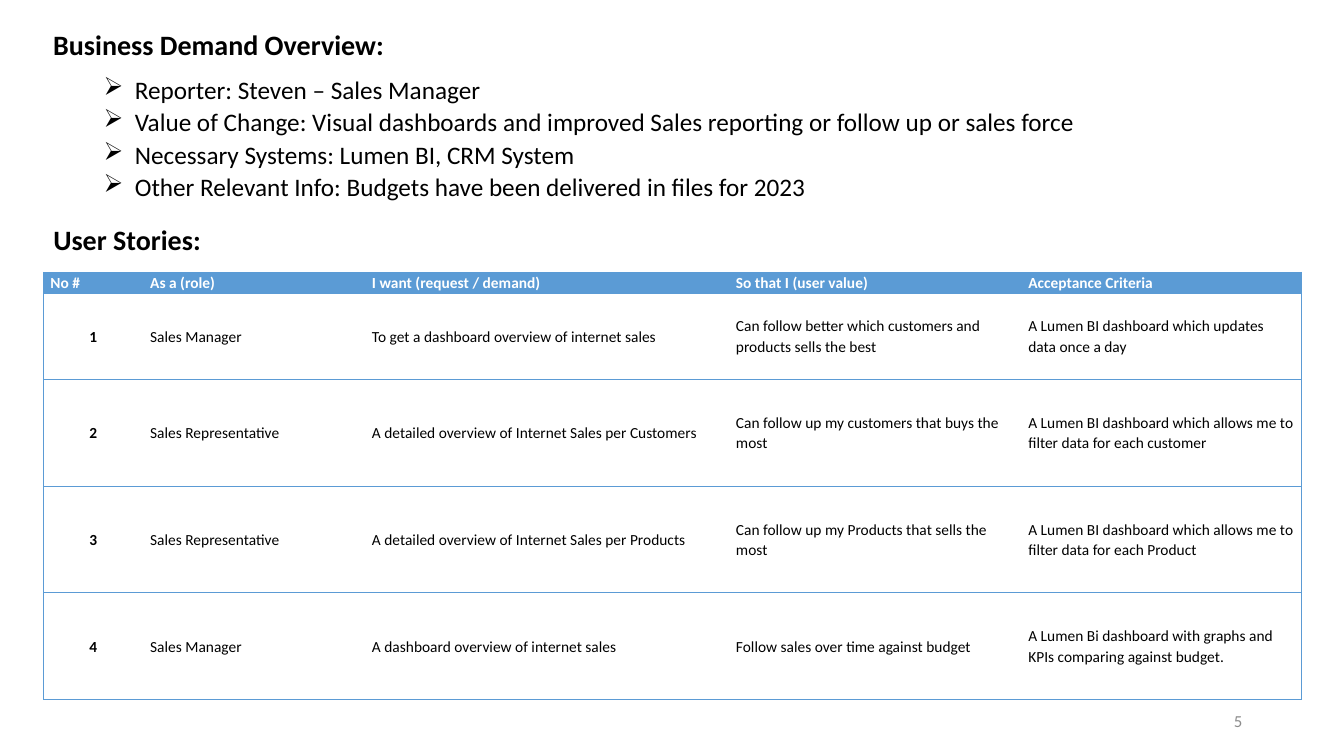
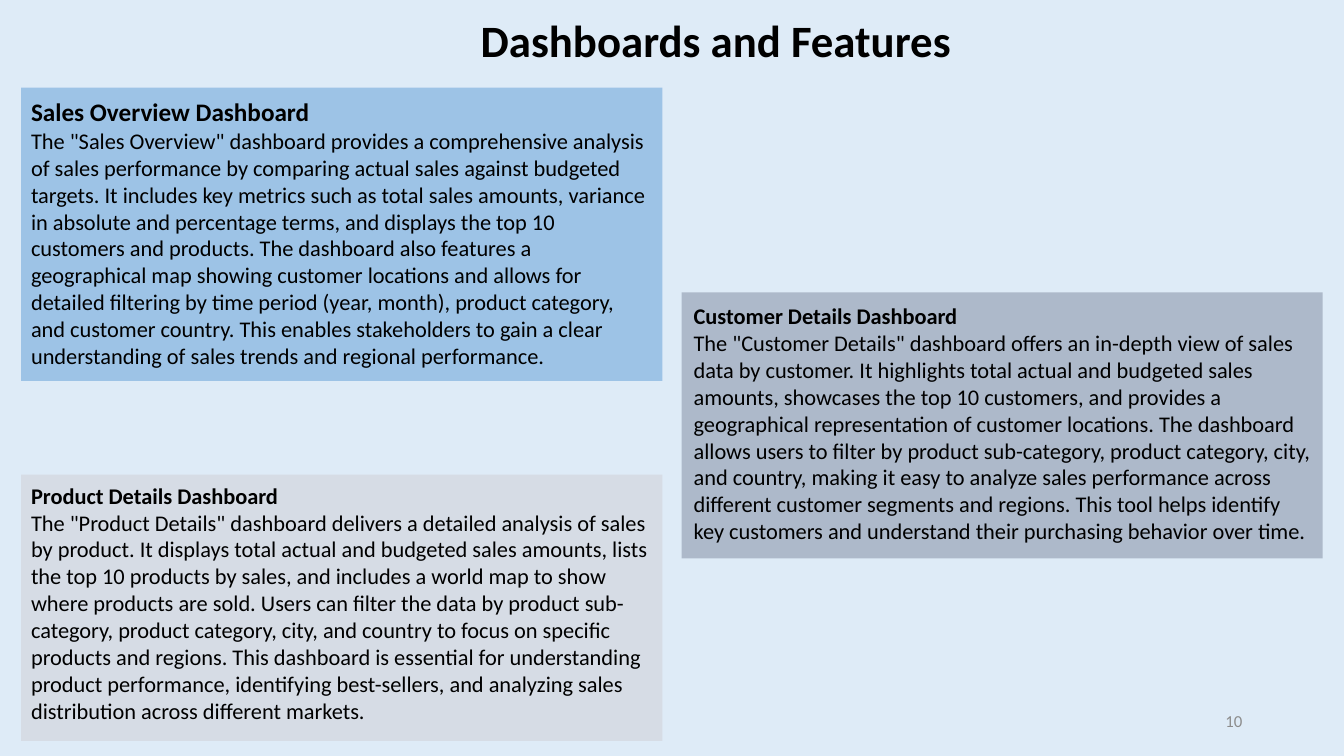
from dataclasses import dataclass

from lxml import etree
from pptx import Presentation
from pptx.dml.color import RGBColor
from pptx.enum.shapes import MSO_SHAPE
from pptx.enum.text import MSO_ANCHOR, PP_ALIGN
from pptx.oxml.ns import qn
from pptx.slide import Slide
from pptx.table import _Cell
from pptx.text.text import TextFrame, _Paragraph
from pptx.util import Inches, Pt

LEFT, CENTER, RIGHT = PP_ALIGN.LEFT, PP_ALIGN.CENTER, PP_ALIGN.RIGHT
TOP, MIDDLE = MSO_ANCHOR.TOP, MSO_ANCHOR.MIDDLE
RECTANGLE = MSO_SHAPE.RECTANGLE

FONT = "Calibri"
BLACK = RGBColor(0x00, 0x00, 0x00)
WHITE = RGBColor(0xFF, 0xFF, 0xFF)
GREY = RGBColor(0x8C, 0x8C, 0x8C)
TABLE_BLUE = RGBColor(0x5B, 0x9B, 0xD5)
PALE_BLUE = RGBColor(0xDE, 0xEB, 0xF7)
SKY_BLUE = RGBColor(0x9D, 0xC3, 0xE6)
SLATE = RGBColor(0xAD, 0xB9, 0xCA)
SILVER = RGBColor(0xD6, 0xDC, 0xE5)

LINE_SPACING = 1.07
CARD_WIDTH = 6.36
BORDER_POINTS = 0.5


@dataclass(frozen=True)
class Line:
    text: str
    size: float
    bold: bool = False
    color: RGBColor = BLACK
    align: PP_ALIGN = LEFT
    spacing: float = 1.0
    after: float = 0
    bullet: str = ""


@dataclass(frozen=True)
class Area:
    left: float
    top: float
    width: float
    height: float

    def lengths(self) -> tuple[int, int, int, int]:
        return (Inches(self.left), Inches(self.top),
                Inches(self.width), Inches(self.height))


@dataclass(frozen=True)
class Card:
    left: float
    top: float
    height: float
    color: RGBColor
    heading_size: float
    left_inset: float
    top_inset: float
    heading: str
    body: str


BULLETS = (
    "Reporter: Steven – Sales Manager",
    "Value of Change: Visual dashboards and improved Sales reporting or follow up or sales force",
    "Necessary Systems: Lumen BI, CRM System",
    "Other Relevant Info: Budgets have been delivered in files for 2023",
)

COLUMN_WIDTHS = (0.99, 2.2, 3.61, 2.9, 2.78)
ROW_HEIGHTS = (0.21, 0.85, 1.06, 1.06, 1.06)
STORIES = (
    ("No #", "As a (role)", "I want (request / demand)",
     "So that I (user value)", "Acceptance Criteria"),
    ("1", "Sales Manager", "To get a dashboard overview of internet sales",
     "Can follow better which customers and products sells the best",
     "A Lumen BI dashboard which updates data once a day"),
    ("2", "Sales Representative", "A detailed overview of Internet Sales per Customers",
     "Can follow up my customers that buys the most",
     "A Lumen BI dashboard which allows me to filter data for each customer"),
    ("3", "Sales Representative", "A detailed overview of Internet Sales per Products",
     "Can follow up my Products that sells the most",
     "A Lumen BI dashboard which allows me to filter data for each Product"),
    ("4", "Sales Manager", "A dashboard overview of internet sales",
     "Follow sales over time against budget",
     "A Lumen Bi dashboard with graphs and KPIs comparing against budget."),
)

CARDS = (
    Card(0.21, 0.87, 2.91, SKY_BLUE, 18, 0.1, 0.09, "Sales Overview Dashboard",
         'The "Sales Overview" dashboard provides a comprehensive analysis of sales '
         "performance by comparing actual sales against budgeted targets. It includes key "
         "metrics such as total sales amounts, variance in absolute and percentage terms, "
         "and displays the top 10 customers and products. The dashboard also features a "
         "geographical map showing customer locations and allows for detailed filtering by "
         "time period (year, month), product category, and customer country. This enables "
         "stakeholders to gain a clear understanding of sales trends and regional "
         "performance."),
    Card(6.76, 2.9, 2.64, SLATE, 16, 0.12, 0.1, "Customer Details Dashboard",
         'The "Customer Details" dashboard offers an in-depth view of sales data by '
         "customer. It highlights total actual and budgeted sales amounts, showcases the "
         "top 10 customers, and provides a geographical representation of customer "
         "locations. The dashboard allows users to filter by product sub-category, product "
         "category, city, and country, making it easy to analyze sales performance across "
         "different customer segments and regions. This tool helps identify key customers "
         "and understand their purchasing behavior over time."),
    Card(0.21, 4.71, 2.64, SILVER, 16, 0.1, 0.07, "Product Details Dashboard",
         'The "Product Details" dashboard delivers a detailed analysis of sales by product. '
         "It displays total actual and budgeted sales amounts, lists the top 10 products by "
         "sales, and includes a world map to show where products are sold. Users can filter "
         "the data by product sub-category, product category, city, and country to focus on "
         "specific products and regions. This dashboard is essential for understanding "
         "product performance, identifying best-sellers, and analyzing sales distribution "
         "across different markets."),
)


def add_bullet(para: _Paragraph, symbol: str) -> None:
    properties = para._p.get_or_add_pPr()
    properties.set("marL", str(Inches(0.81)))
    properties.set("indent", str(Inches(-0.31)))
    etree.SubElement(properties, qn("a:buChar")).set("char", symbol)


def write_lines(frame: TextFrame, lines: list[Line]) -> None:
    for index, line in enumerate(lines):
        para = frame.paragraphs[0] if index == 0 else frame.add_paragraph()
        if line.bullet:
            add_bullet(para, line.bullet)
            para.level = 1
        layout = {"alignment": line.align, "line_spacing": line.spacing,
                  "space_before": Pt(0), "space_after": Pt(line.after)}
        for name, value in layout.items():
            setattr(para, name, value)
        span = para.add_run()
        span.text = line.text
        style = {"name": FONT, "size": Pt(line.size), "bold": line.bold}
        for name, value in style.items():
            setattr(span.font, name, value)
        span.font.color.rgb = line.color


def add_text(page: Slide, area: Area, lines: list[Line],
             anchor: MSO_ANCHOR = TOP, wrap: bool = True) -> None:
    frame = page.shapes.add_textbox(*area.lengths()).text_frame
    frame.word_wrap = wrap
    frame.vertical_anchor = anchor
    write_lines(frame, lines)


def add_page_number(page: Slide, number: int) -> None:
    add_text(page, Area(9.42, 6.95, 3, 0.4),
             [Line(str(number), 12, color=GREY, align=RIGHT)], MIDDLE)


def set_borders(cell: _Cell, sides: str) -> None:
    """Rule the sides named by the letters L, R, T and B; clear the others."""
    properties = cell._tc.get_or_add_tcPr()
    for index, side in enumerate("LRTB"):
        border = etree.Element(qn(f"a:ln{side}"))
        border.set("w", str(Pt(BORDER_POINTS)))
        if side in sides:
            fill = etree.SubElement(border, qn("a:solidFill"))
            etree.SubElement(fill, qn("a:srgbClr")).set("val", str(TABLE_BLUE))
        else:
            etree.SubElement(border, qn("a:noFill"))
        properties.insert(index, border)


def add_story_table(page: Slide) -> None:
    area = Area(0.43, 2.7, sum(COLUMN_WIDTHS), sum(ROW_HEIGHTS))
    table = page.shapes.add_table(len(STORIES), len(COLUMN_WIDTHS), *area.lengths()).table
    table.horz_banding = False
    for column, width in zip(table.columns, COLUMN_WIDTHS):
        column.width = Inches(width)
    for row, height in zip(table.rows, ROW_HEIGHTS):
        row.height = Inches(height)
    last_column = len(COLUMN_WIDTHS) - 1
    for row_index, story in enumerate(STORIES):
        header = row_index == 0
        for column_index, text in enumerate(story):
            first = column_index == 0
            cell = table.cell(row_index, column_index)
            layout = {"margin_left": Inches(0.07), "margin_right": Inches(0.07),
                      "margin_top": 0, "margin_bottom": 0,
                      "vertical_anchor": TOP if header else MIDDLE}
            for name, value in layout.items():
                setattr(cell, name, value)
            cell.fill.solid()
            cell.fill.fore_color.rgb = TABLE_BLUE if header else WHITE
            left = "L" if first else ""
            right = "R" if column_index == last_column else ""
            set_borders(cell, "TB" + left + right)
            write_lines(cell.text_frame, [
                Line(text, 11, bold=header or first, color=WHITE if header else BLACK,
                     align=CENTER if first and not header else LEFT,
                     spacing=LINE_SPACING)])


def add_card(page: Slide, card: Card) -> None:
    area = Area(card.left, card.top, CARD_WIDTH, card.height)
    box = page.shapes.add_shape(RECTANGLE, *area.lengths())
    box.shadow.inherit = False
    box.fill.solid()
    box.fill.fore_color.rgb = card.color
    box.line.fill.background()
    frame = box.text_frame
    layout = {"word_wrap": True, "vertical_anchor": TOP,
              "margin_left": Inches(card.left_inset),
              "margin_right": Inches(0.2 - card.left_inset),
              "margin_top": Inches(card.top_inset), "margin_bottom": 0}
    for name, value in layout.items():
        setattr(frame, name, value)
    write_lines(frame, [Line(card.heading, card.heading_size, bold=True),
                        Line(card.body, 16)])


def build_demand_page(page: Slide) -> None:
    add_story_table(page)
    heading = {"size": 20, "bold": True, "spacing": LINE_SPACING, "after": 8}
    add_text(page, Area(0.43, 2.13, 1.68, 0.45),
             [Line("User Stories:", **heading)], wrap=False)
    bullets = [Line(text, 18, spacing=LINE_SPACING, bullet="➢") for text in BULLETS]
    add_text(page, Area(0.43, 0.2, 10.87, 1.93),
             [Line("Business Demand Overview:", **heading), *bullets])
    add_page_number(page, 5)


def build_dashboards_page(page: Slide) -> None:
    page.background.fill.solid()
    page.background.fill.fore_color.rgb = PALE_BLUE
    add_text(page, Area(4.67, 0.13, 4.97, 0.6),
             [Line("Dashboards and Features", 32, bold=True, spacing=0.9)], MIDDLE)
    for card in CARDS:
        add_card(page, card)
    add_page_number(page, 10)


def main() -> None:
    deck = Presentation()
    deck.slide_width = Inches(13.33)
    deck.slide_height = Inches(7.5)
    blank = deck.slide_layouts[6]
    for build in (build_demand_page, build_dashboards_page):
        build(deck.slides.add_slide(blank))
    deck.save("out.pptx")


if __name__ == "__main__":
    main()
